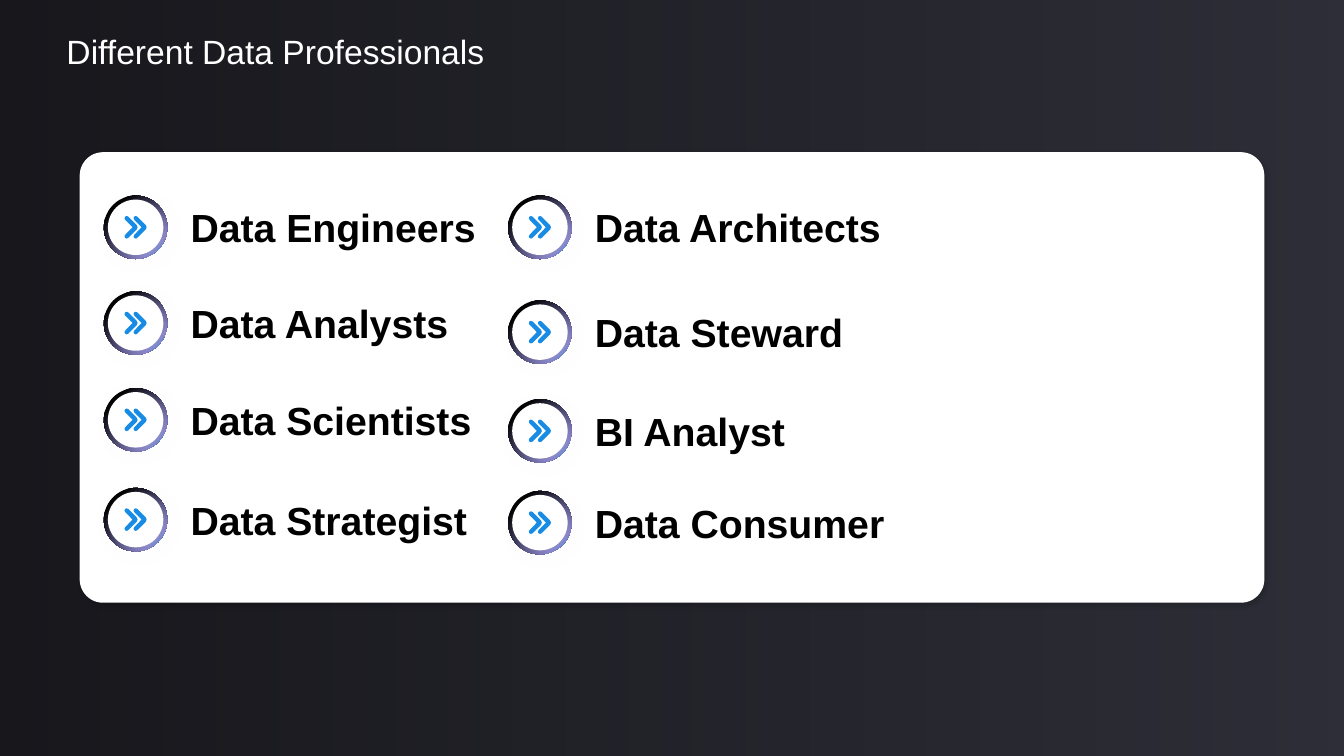
from lxml.etree import SubElement
from pptx import Presentation
from pptx.dml.color import RGBColor
from pptx.enum.shapes import MSO_SHAPE
from pptx.enum.text import MSO_ANCHOR
from pptx.oxml.ns import qn
from pptx.util import Inches, Pt

BLUE = "188CE5"
RING_STOPS = [(18, "000000", 100), (81, "7A75C1", 100), (96, BLUE, 100)]
ROLE_COLUMNS = [
    (1.03, [("Data Engineers", 1.94), ("Data Analysts", 2.89),
            ("Data Scientists", 3.85), ("Data Strategist", 4.84)]),
    (5.04, [("Data Architects", 1.94), ("Data Steward", 2.98),
            ("BI Analyst", 3.96), ("Data Consumer", 4.87)]),
]
# Thousandths of an inch from the top left of the ring
CHEVRON_TOP = [(285, 315), (212, 240), (205, 225), (212, 209), (227, 203),
               (242, 209), (326, 293), (335, 315)]
CHEVRON = CHEVRON_TOP + [(x, 630 - y) for x, y in CHEVRON_TOP[-2:0:-1]]


def paint(fill, colour):
    fill.solid()
    fill.fore_color.rgb = RGBColor.from_string(colour)


def finish(shape, stops=(), angle=0, shadow=None):
    """Remove the outline; add gradient stops (position, colour, opacity)
    and a shadow (colour, blur, distance) where given."""
    shape.line.fill.background()
    shape.shadow.inherit = False
    properties = shape._element.spPr
    if stops:
        shape.fill.gradient()
        shape.fill.gradient_angle = angle
        stop_list = properties.find(".//" + qn("a:gsLst"))
        for default_stop in list(stop_list):
            stop_list.remove(default_stop)
        for position, colour, opacity in stops:
            stop = SubElement(stop_list, qn("a:gs"), pos=str(position * 1000))
            tint = SubElement(stop, qn("a:srgbClr"), val=colour)
            SubElement(tint, qn("a:alpha"), val=str(opacity * 1000))
    if shadow:
        colour, blur, distance = shadow
        outer = SubElement(properties.find(qn("a:effectLst")), qn("a:outerShdw"),
                           blurRad=str(Pt(blur)), dist=str(Pt(distance)),
                           dir="2700000", algn="tl", rotWithShape="0")
        tint = SubElement(outer, qn("a:srgbClr"), val=colour)
        SubElement(tint, qn("a:alpha"), val="20000")


prs = Presentation()
prs.slide_width, prs.slide_height = Inches(13.33), Inches(7.5)
slide = prs.slides.add_slide(prs.slide_layouts[6])
paint(slide.background.fill, "2E2E38")

shade = slide.shapes.add_shape(MSO_SHAPE.RECTANGLE, 0, 0,
                               prs.slide_width, prs.slide_height)
finish(shade, [(0, "000000", 0), (100, "000000", 50)], 180)

card = slide.shapes.add_shape(MSO_SHAPE.ROUNDED_RECTANGLE, Inches(0.79),
                              Inches(1.51), Inches(11.75), Inches(4.47))
card.adjustments[0] = 0.052
paint(card.fill, "FFFFFF")
finish(card, shadow=("000000", 4, 3))

labels = [("Different Data Professionals", slide.shapes,
           (0.66, 0.31, 11.23, 0.4), 24, "FFFFFF", False)]
for left, roles in ROLE_COLUMNS:
    for role, top in roles:
        row = slide.shapes.add_group_shape().shapes
        labels.append((role, row, (left + 0.86, top + 0.08, 3.81, 0.47),
                       28, "000000", True))

        ring = row.add_shape(MSO_SHAPE.OVAL, Inches(left), Inches(top),
                             Inches(0.63), Inches(0.63))
        finish(ring, RING_STOPS, 315, ("FFFFFF", 8, 4))
        disc = row.add_shape(MSO_SHAPE.OVAL, Inches(left + 0.04),
                             Inches(top + 0.04), Inches(0.55), Inches(0.55))
        paint(disc.fill, "FFFFFF")
        finish(disc, shadow=("FFFFFF", 8, 4))

        for shift in (0, 0.09):
            outline = row.build_freeform(*CHEVRON[0], scale=Inches(0.001))
            outline.add_line_segments(CHEVRON[1:])
            chevron = outline.convert_to_shape(Inches(left + shift), Inches(top))
            paint(chevron.fill, BLUE)
            finish(chevron)

for wording, parent, box, size, colour, bold in labels:
    label = parent.add_textbox(*map(Inches, box))
    frame = label.text_frame
    frame.word_wrap = True
    frame.margin_left = frame.margin_right = 0
    frame.margin_top = frame.margin_bottom = 0
    frame.vertical_anchor = MSO_ANCHOR.MIDDLE
    paragraph = frame.paragraphs[0]
    paragraph.text = wording
    font = paragraph.font
    font.name, font.size, font.bold = "Arial", Pt(size), bold
    paint(font.fill, colour)

prs.save("out.pptx")
